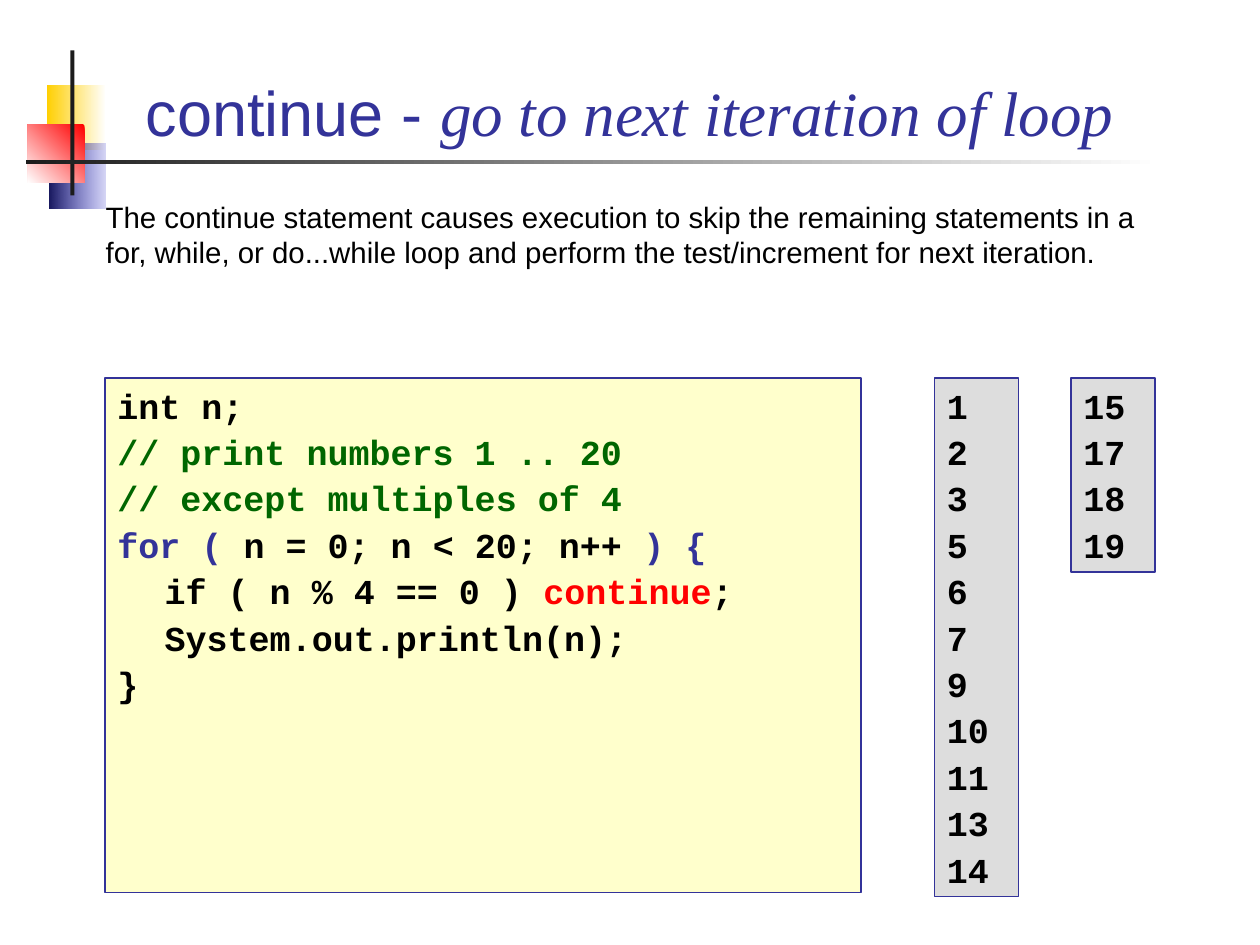
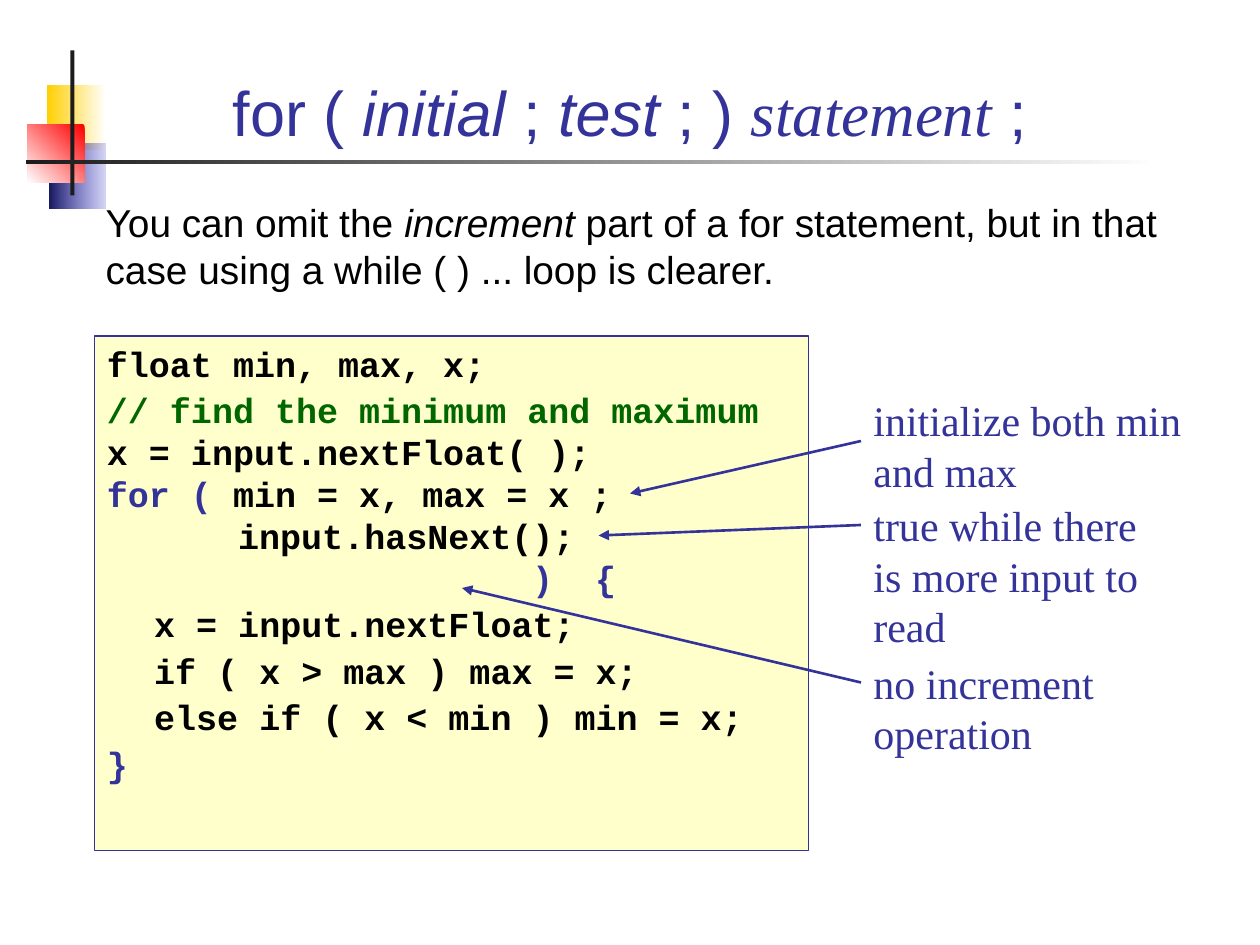
from pptx import Presentation
from pptx.dml.color import RGBColor
from pptx.enum.shapes import MSO_CONNECTOR, MSO_SHAPE
from pptx.enum.text import MSO_ANCHOR, MSO_AUTO_SIZE, PP_ALIGN
from pptx.oxml.ns import qn
from pptx.oxml.xmlchemy import OxmlElement
from pptx.util import Pt

RECTANGLE = MSO_SHAPE.RECTANGLE
STRAIGHT = MSO_CONNECTOR.STRAIGHT
TOP, BOTTOM = MSO_ANCHOR.TOP, MSO_ANCHOR.BOTTOM
LEFT, CENTER = PP_ALIGN.LEFT, PP_ALIGN.CENTER
NO_AUTOFIT = MSO_AUTO_SIZE.NONE

WHITE = RGBColor(0xFF, 0xFF, 0xFF)
BLACK = RGBColor(0x00, 0x00, 0x00)
INDIGO = RGBColor(0x33, 0x33, 0x99)
GREEN = RGBColor(0x00, 0x66, 0x00)
RED = RGBColor(0xFF, 0x00, 0x00)
YELLOW = RGBColor(0xFF, 0xCF, 0x01)
BLUE = RGBColor(0x33, 0x33, 0xCC)
NAVY = RGBColor(0x17, 0x17, 0x5E)
CHARCOAL = RGBColor(0x1C, 0x1C, 0x1C)
CREAM = RGBColor(0xFF, 0xFF, 0xCC)
GRAY = RGBColor(0xDD, 0xDD, 0xDD)

SANS, SERIF, MONO = "Arial", "Times New Roman", "Courier New"
ITALIC = {"italic": True}
SERIF_ITALIC = {"italic": True, "name": SERIF}
COMMENT, KEYWORD, JUMP = {"color": GREEN}, {"color": INDIGO}, {"color": RED}

CODE_SIZE = 20
CODE_GAP = 2.5
CODE_INDENT = 27
LEADING = 1.2


def add_panel(slide, box, fill, line_width=None):
    """Add a rectangle; a pair of fill colours makes a gradient."""
    panel = slide.shapes.add_shape(RECTANGLE, *map(Pt, box))
    panel.shadow.inherit = False
    if isinstance(fill, tuple) and not isinstance(fill, RGBColor):
        panel.fill.gradient()
        panel.fill.gradient_angle = 180
        for stop, color in zip(panel.fill.gradient_stops, fill):
            stop.color.rgb = color
    else:
        panel.fill.solid()
        panel.fill.fore_color.rgb = fill
    if line_width:
        panel.line.color.rgb = INDIGO
        panel.line.width = Pt(line_width)
    else:
        panel.line.fill.background()
    return panel


def write(frame, lines, font, size, color, bold=False, align=LEFT,
          anchor=TOP, leading=LEADING):
    """Fill a frame with lines of (indent, space before, runs)."""
    frame.word_wrap = True
    frame.auto_size = NO_AUTOFIT
    frame.vertical_anchor = anchor
    for number, (indent, gap, runs) in enumerate(lines):
        paragraph = frame.add_paragraph() if number else frame.paragraphs[0]
        paragraph.alignment = align
        paragraph.space_before = Pt(gap)
        if leading:
            paragraph.line_spacing = Pt(size * leading)
        if indent:
            paragraph._p.get_or_add_pPr().set("marL", str(Pt(indent)))
        paragraph.font.size = Pt(size)
        paragraph.font.bold = bold
        for part in runs:
            text, style = (part, {}) if isinstance(part, str) else part
            run = paragraph.add_run()
            run.text = text
            run.font.name = style.get("name", font)
            run.font.color.rgb = style.get("color", color)
            if "italic" in style:
                run.font.italic = True


deck = Presentation()
deck.slide_width, deck.slide_height = Pt(720), Pt(540)
title_only = deck.slide_layouts[5]

# Shared look: corner ornament, title and introduction
pages = [
    (["continue - ", ("go to next iteration of loop", SERIF_ITALIC)],
     16.8,
     ["The continue statement causes execution to skip the remaining "
      "statements in a for, while, or do...while loop and perform the "
      "test/increment for next iteration."]),
    (["for ( ", ("initial ", ITALIC), "; ", ("test", ITALIC), " ; ) ",
      ("statement", SERIF_ITALIC), " ;"],
     22.2,
     ["You can omit the ", ("increment", ITALIC),
      " part of a for statement, but in that case using a while ( ) ... "
      "loop is clearer."]),
]
slides = []
for title_runs, intro_size, intro_runs in pages:
    slide = deck.slides.add_slide(title_only)
    slides.append(slide)

    add_panel(slide, (26.8, 48.4, 33.8, 37.4), (WHITE, YELLOW))
    blue_square = add_panel(slide, (28.1, 82, 32.4, 37.4), (BLUE, NAVY))
    alpha = OxmlElement("a:alpha")
    alpha.set("val", "20000")
    next(blue_square.element.iter(qn("a:srgbClr"))).append(alpha)
    red_square = add_panel(slide, (15.8, 71.2, 32.4, 33.2), (RED, WHITE))
    red_square.fill.gradient_angle = 225
    add_panel(slide, (40.3, 28.8, 2.2, 82.8), CHARCOAL)
    add_panel(slide, (15.1, 91.4, 648, 2.2), (WHITE, CHARCOAL))

    title = slide.shapes.title
    title.left, title.top = Pt(48.2), Pt(20.2)
    title.width, title.height = Pt(623.5), Pt(68.4)
    write(title.text_frame, [(0, 0, title_runs)], SANS, 36, INDIGO,
          align=CENTER, anchor=BOTTOM, leading=None)

    intro = slide.shapes.add_textbox(Pt(53.3), Pt(110.2), Pt(623.5), Pt(62.6))
    write(intro.text_frame, [(0, 0, intro_runs)], SANS, intro_size, BLACK)

continue_slide, for_slide = slides

# Code listings
continue_code = [
    (0, CODE_GAP, ["int n;"]),
    (0, CODE_GAP, [("// print numbers 1 .. 20", COMMENT)]),
    (0, CODE_GAP, [("// except multiples of 4", COMMENT)]),
    (0, CODE_GAP, [("for ( ", KEYWORD), "n = 0; n < 20; n++",
                   (" ) {", KEYWORD)]),
    (CODE_INDENT, CODE_GAP, ["if ( n % 4 == 0 ) ", ("continue", JUMP), ";"]),
    (CODE_INDENT, CODE_GAP, ["System.out.println(n);"]),
    (0, CODE_GAP, ["}"]),
]
for_code = [
    (0, CODE_GAP, ["float min, max, x;"]),
    (0, CODE_GAP, [("// find the minimum and maximum", COMMENT)]),
    (0, 0, ["x = input.nextFloat( );"]),
    (0, 0, [("for (", KEYWORD), " min = x, max = x ;"]),
    (75, 0, ["input.hasNext();"]),
    (243, 0, [(")  {", KEYWORD)]),
    (CODE_INDENT, CODE_GAP, ["x = input.nextFloat;"]),
    (CODE_INDENT, CODE_GAP, ["if ( x > max ) max = x;"]),
    (CODE_INDENT, CODE_GAP, ["else if ( x < min ) min = x;"]),
    (0, CODE_GAP, [("}", KEYWORD)]),
]
for slide, box, code in [(continue_slide, (60, 216, 432, 294), continue_code),
                         (for_slide, (54, 192, 408, 294), for_code)]:
    listing = add_panel(slide, box, CREAM, 0.74)
    write(listing.text_frame, code, MONO, CODE_SIZE, BLACK, bold=True)

# Printed output: numbers below 20 that are not multiples of 4
printed = [str(n) for n in range(20) if n % 4]
for left, numbers in [(534, printed[:11]), (612, printed[11:])]:
    height = len(numbers) * (CODE_SIZE * LEADING + CODE_GAP) + 4.8
    output = add_panel(continue_slide, (left, 216, 48, height), GRAY, 0.99)
    write(output.text_frame, [(0, CODE_GAP, [n]) for n in numbers],
          MONO, CODE_SIZE, BLACK, bold=True)

# Remarks with arrows into the for statement
NOTE_LEFT = 492
remarks = [
    ("true while there is more input to read", 282, 186, 93.6,
     300, (342, 306)),
    ("initialize both min and max", 222, 198, 64.8, 252, (360, 282)),
    ("no increment operation", 372, 198, 64.8, 390, (264, 336)),
]
for text, top, width, height, arrow_top, target in remarks:
    arrow = for_slide.shapes.add_connector(
        STRAIGHT, Pt(NOTE_LEFT), Pt(arrow_top), *map(Pt, target))
    arrow.line.color.rgb = INDIGO
    arrow.line.width = Pt(1.5)
    head = OxmlElement("a:tailEnd")
    head.set("type", "triangle")
    arrow.line._get_or_add_ln().append(head)
    arrow.element.spPr.append(OxmlElement("a:effectLst"))

    remark = for_slide.shapes.add_textbox(
        Pt(NOTE_LEFT), Pt(top), Pt(width), Pt(height))
    write(remark.text_frame, [(0, 0, [text])], SERIF, 24, INDIGO)

deck.save("out.pptx")
